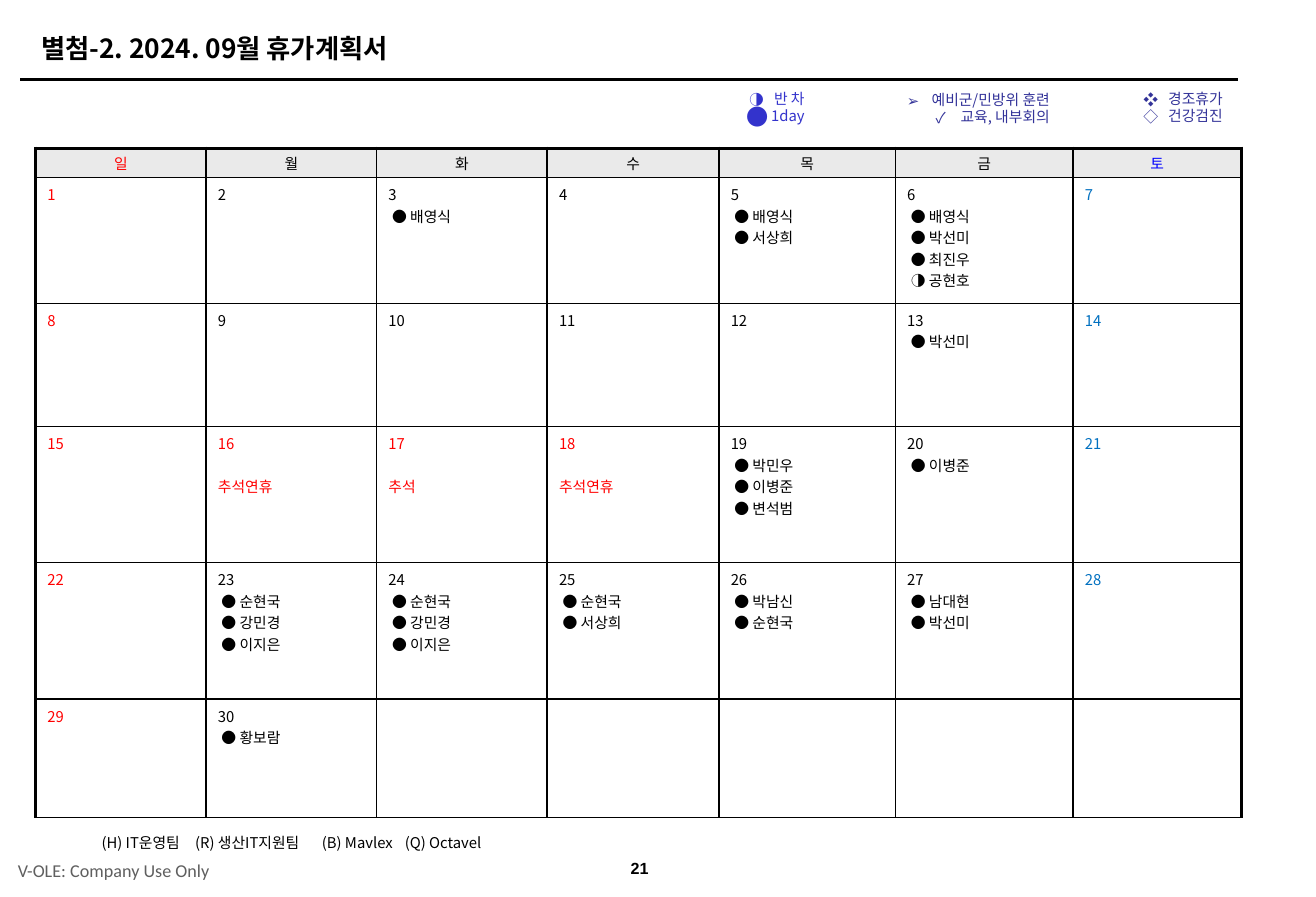
"""Build the September 2024 leave calendar slide."""
from lxml.etree import SubElement as Sub
from pptx import Presentation
from pptx.dml.color import RGBColor as RGB
from pptx.enum.shapes import MSO_CONNECTOR as Conn
from pptx.enum.text import MSO_ANCHOR as Anchor, PP_ALIGN as Align
from pptx.oxml.ns import qn
from pptx.util import Pt

PX = 9144
THEME = {
    "sans": "Noto Sans CJK KR", "foot": "Calibri", "page": "Arial",
    "black": "000000", "red": "FF0000", "blue": "0070C0", "sat": "0000FF",
    "head": "EAEAEA", "gray": "5F5F5F", "key": "3333CC", "navy": "333399",
    "body": 9, "title": 16, "small": 11, "num": 9.8,
}


def put(frame, lines, hue="black", size="body", font="sans", bold=False,
        align=Align.LEFT, space=None, marks=(), tabs=()):
    for i, line in enumerate(lines):
        para = frame.paragraphs[0] if i == 0 else frame.add_paragraph()
        para.alignment = align
        if space:
            para.line_spacing = space
        props = para._p.get_or_add_pPr()
        if marks:
            char, scale = marks[i]
            props.set("marL", str(21 * PX))
            props.set("indent", str(-21 * PX))
            Sub(Sub(props, qn("a:buClr")), qn("a:srgbClr"), val=THEME[hue])
            Sub(props, qn("a:buSzPct"), val=str(scale * 1000))
            Sub(props, qn("a:buFont"), typeface=THEME[font])
            Sub(props, qn("a:buChar"), char=char)
        if tabs:
            stops = Sub(props, qn("a:tabLst"))
            for stop in tabs:
                Sub(stops, qn("a:tab"), pos=str(stop * PX), algn="l")
        run = para.add_run()
        run.text = line
        run.font.size = Pt(THEME[size])
        run.font.bold = bold
        run.font.name = THEME[font]
        run.font.color.rgb = RGB.from_string(THEME[hue])
        Sub(run.font._element, qn("a:ea"), typeface=THEME[font])


def box(x, y, w, h, lines, anchor=Anchor.TOP, inset=True, **form):
    shape = slide.shapes.add_textbox(x * PX, y * PX, w * PX, h * PX)
    frame = shape.text_frame
    frame.word_wrap = True
    frame.vertical_anchor = anchor
    if not inset:
        frame.margin_left = frame.margin_right = 0
        frame.margin_top = frame.margin_bottom = 0
    put(frame, lines, **form)


deck = Presentation()
deck.slide_width, deck.slide_height = 1111 * PX, 757 * PX
slide = deck.slides.add_slide(deck.slide_layouts[6])

rule = slide.shapes.add_connector(Conn.STRAIGHT, 17 * PX, 67 * PX, 1045 * PX, 67 * PX)
rule.line.color.rgb = RGB.from_string(THEME["black"])
rule.line.width = Pt(1.5)
Sub(rule._element.spPr, qn("a:effectLst"))

box(25, 22, 990, 37, ["별첨-2. 2024. 09월 휴가계획서"], Anchor.MIDDLE,
    size="title", bold=True)

keys = [
    (617, 72, 72, "key", ["반 차", "1day"], [("◑", 100), ("●", 150)]),
    (741, 73, 155, "navy", ["예비군/민방위 훈련", "교육, 내부회의"], [("➢", 100), ("✓", 100)]),
    (859, 72, 183, "navy", ["경조휴가", "건강검진"], [("❖", 100), ("◇", 100)]),
]
for x, y, w, hue, lines, marks in keys:
    box(x, y, w, 40, lines, hue=hue, align=Align.RIGHT, space=0.95, marks=marks)

cols = [144, 144, 144, 145, 149, 150, 142]
rows = [25, 106, 104, 115, 115, 100]
names = "일월화수목금토"
leave = {
    3: ["● 배영식"],
    5: ["● 배영식", "● 서상희"],
    6: ["● 배영식", "● 박선미", "● 최진우", "◑ 공현호"],
    13: ["● 박선미"],
    19: ["● 박민우", "● 이병준", "● 변석범"],
    20: ["● 이병준"],
    23: ["● 순현국", "● 강민경", "● 이지은"],
    24: ["● 순현국", "● 강민경", "● 이지은"],
    25: ["● 순현국", "● 서상희"],
    26: ["● 박남신", "● 순현국"],
    27: ["● 남대현", "● 박선미"],
    30: ["● 황보람"],
}
feast = {16: "추석연휴", 17: "추석", 18: "추석연휴"}

grid = slide.shapes.add_table(len(rows), len(cols), 30 * PX, 125 * PX,
                              sum(cols) * PX, sum(rows) * PX).table
grid.first_row = grid.horz_banding = False
for c, width in enumerate(cols):
    grid.columns[c].width = width * PX
for r, height in enumerate(rows):
    grid.rows[r].height = height * PX
    for c in range(len(cols)):
        cell = grid.cell(r, c)
        edges = {"L": c == 0, "R": c == 6, "T": r == 0, "B": False}
        for side, thick in edges.items():
            edge = Sub(cell._tc.get_or_add_tcPr(), qn(f"a:ln{side}"),
                       w=str(Pt(2 if thick else 1)))
            Sub(Sub(edge, qn("a:solidFill")), qn("a:srgbClr"), val=THEME["black"])
        if r == 0:
            cell.fill.solid()
            cell.fill.fore_color.rgb = RGB.from_string(THEME["head"])
            cell.vertical_anchor = Anchor.MIDDLE
            cell.margin_top = cell.margin_bottom = 2 * PX
            hue = {0: "red", 6: "sat"}.get(c, "black")
            put(cell.text_frame, [names[c]], hue=hue, align=Align.CENTER)
            continue
        cell.fill.background()
        day = (r - 1) * 7 + c + 1
        if day > 30:
            continue
        hue = "red" if c == 0 or day in feast else "blue" if c == 6 else "black"
        lines = [feast[day]] if day in feast else leave.get(day, [])
        put(cell.text_frame, [str(day), *lines], hue=hue)
        for para in cell.text_frame.paragraphs[1:]:
            if day in feast:
                para.space_before = Pt(13)
            else:
                para._p.get_or_add_pPr().set("marL", str(3 * PX))

box(76, 700, 350, 24, ["(H) IT운영팀\t(R) 생산IT지원팀\t(B) Mavlex\t(Q) Octavel"],
    Anchor.MIDDLE, space=0.95, tabs=[79, 186, 256])
box(513, 717, 54, 31, ["21"], Anchor.MIDDLE, size="num", font="page",
    bold=True, align=Align.CENTER)
box(0, 719, 192, 31, ["V-OLE: Company Use Only"], Anchor.MIDDLE, inset=False,
    hue="gray", size="small", font="foot", align=Align.CENTER)

deck.save("out.pptx")
